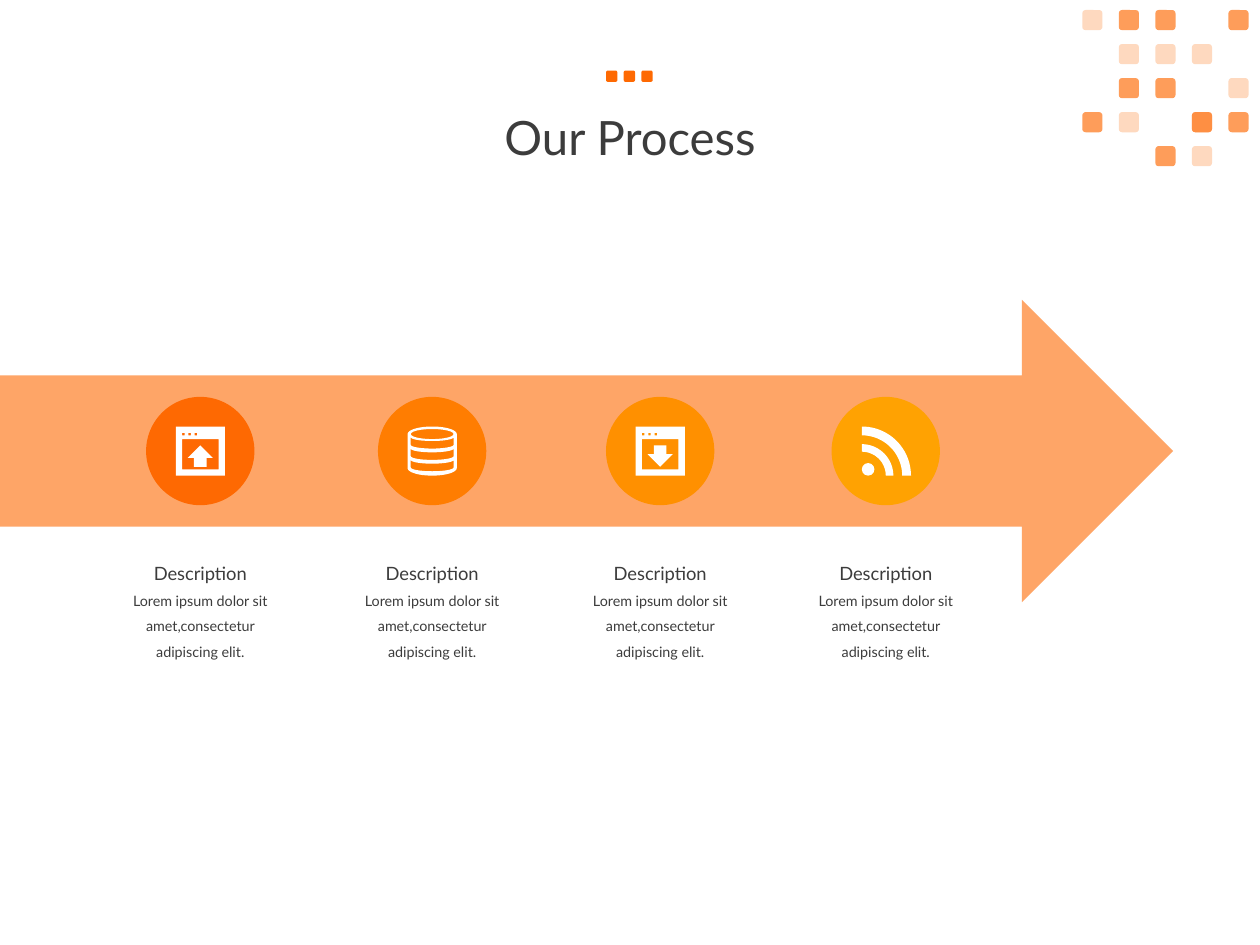
from math import cos, radians, sin

from lxml import etree
from pptx import Presentation
from pptx.dml.color import RGBColor
from pptx.enum.shapes import MSO_SHAPE as Shape
from pptx.enum.text import MSO_ANCHOR as Anchor, MSO_AUTO_SIZE as AutoSize, PP_ALIGN as Align
from pptx.oxml.ns import qn
from pptx.util import Inches, Pt

ORANGE, WHITE, DARK = "FE6902", "FFFFFF", "3C3C3C"
DIAMETER = 0.86
ICON = 0.39


def color(hex_string):
    return RGBColor.from_string(hex_string)


def paint(shape, fill, opacity=100):
    shape.shadow.inherit = False
    shape.fill.solid()
    shape.fill.fore_color.rgb = color(fill)
    shape.line.fill.background()
    if opacity < 100:
        rgb = shape.fill._xPr.find(qn("a:solidFill"))[0]
        etree.SubElement(rgb, qn("a:alpha")).set("val", str(opacity * 1000))


def add_preset(shapes, kind, left, top, width, height, fill, opacity=100):
    shape = shapes.add_shape(kind, Inches(left), Inches(top), Inches(width), Inches(height))
    paint(shape, fill, opacity)


def add_outline(shapes, *contours):
    """Draw closed white contours as one shape; inner contours become holes."""
    contours = [[(Inches(x), Inches(y)) for x, y in points] for points in contours]
    builder = shapes.build_freeform(*contours[0][0])
    for index, points in enumerate(contours):
        if index:
            builder.move_to(*points[0])
        builder.add_line_segments(points[1:], close=True)
    paint(builder.convert_to_shape(), WHITE)


def arc(x, y, radius_x, radius_y, start, end, steps=24):
    """Points on an ellipse, angles in degrees clockwise from the right."""
    angles = [radians(start + (end - start) * i / steps) for i in range(steps + 1)]
    return [(x + radius_x * cos(a), y + radius_y * sin(a)) for a in angles]


def box(left, top, width, height):
    return [(left, top), (left + width, top),
            (left + width, top + height), (left, top + height)]


def write(shape, text, size, spacing=1.0, wrap=True, grow=True, anchor=Anchor.TOP):
    frame = shape.text_frame
    frame.word_wrap = wrap
    frame.auto_size = AutoSize.SHAPE_TO_FIT_TEXT if grow else AutoSize.NONE
    frame.vertical_anchor = anchor
    paragraph = frame.paragraphs[0]
    paragraph.alignment = Align.CENTER
    paragraph.line_spacing = spacing
    run = paragraph.add_run()
    run.text = text
    run.font.name = "Lato"
    run.font.size = Pt(size)
    run.font.color.rgb = color(DARK)


def draw_window(shapes, x, y, upward):
    """Browser window with an upward or downward arrow inside."""
    left, top = x - ICON / 2, y - ICON / 2
    buttons = [box(left + offset, top + 0.05, 0.02, 0.02) for offset in (0.05, 0.1, 0.15)]
    add_outline(shapes, box(left, top, ICON, ICON),
                box(left + 0.05, top + 0.1, 0.29, 0.24), *buttons)
    arrow = [(-0.05, 0.17), (0.05, 0.17), (0.05, 0.1), (0.1, 0.1),
             (0, 0), (-0.1, 0.1), (-0.05, 0.1)]
    add_outline(shapes, [(x + dx, top + 0.15 + (dy if upward else 0.17 - dy))
                         for dx, dy in arrow])


def draw_database(shapes, x, y):
    top, bottom = y - 0.135, y + 0.135
    body = arc(x, top, ICON / 2, 0.06, 180, 360) + arc(x, bottom, ICON / 2, 0.06, 0, 180)
    lid = arc(x, top, 0.17, 0.04, 0, 360)
    bands = [arc(x, y + upper, 0.17, 0.03, 180, 0) + arc(x, y + lower, 0.17, 0.03, 0, 180)
             for upper, lower in ((-0.11, -0.05), (-0.02, 0.04), (0.07, 0.13))]
    add_outline(shapes, body, lid, *bands)


def draw_feed(shapes, x, y):
    left, bottom = x - 0.19, y + ICON / 2
    add_preset(shapes, Shape.OVAL, left, bottom - 0.1, 0.1, 0.1, WHITE)
    for inner, outer in ((0.19, 0.25), (0.32, 0.39)):
        add_outline(shapes, arc(left, bottom, outer, outer, 270, 360)
                    + arc(left, bottom, inner, inner, 360, 270))


presentation = Presentation()
presentation.slide_width, presentation.slide_height = Inches(10), Inches(7.5)
slide = presentation.slides.add_slide(presentation.slide_layouts[5])

title = slide.shapes.title
title.left, title.top = Inches(0.69), Inches(0.39)
title.width, title.height = Inches(8.62), Inches(1.45)
write(title, "Our Process", size=27, spacing=0.9, grow=False, anchor=Anchor.MIDDLE)

# Corner mosaic: each cell lists the opacities stacked there
opacities = {".": (), "L": (25,), "D": (65,), "B": (65, 25)}
mosaic = slide.shapes.add_group_shape().shapes
for row, cells in enumerate(("LDD.D", ".LLL.", ".DD.L", "DL.BD", "..DL.")):
    for column, cell in enumerate(cells):
        for opacity in opacities[cell]:
            add_preset(mosaic, Shape.ROUNDED_RECTANGLE, 8.59 + 0.29 * column,
                       0.08 + 0.27 * row, 0.16, 0.16, ORANGE, opacity)

dots = slide.shapes.add_group_shape().shapes
for column in range(3):
    add_preset(dots, Shape.ROUNDED_RECTANGLE, 4.81 + 0.14 * column, 0.56, 0.09, 0.09, ORANGE)

add_preset(slide.shapes, Shape.NOTCHED_RIGHT_ARROW, -0.61, 2.38, 9.92, 2.4, "FEA567")

steps = [
    (1.16, ORANGE, draw_window, {"upward": True}),
    (3.0, "FF7D01", draw_database, {}),
    (4.81, "FF9000", draw_window, {"upward": False}),
    (6.6, "FFA202", draw_feed, {}),
]
for left, fill, draw_icon, options in steps:
    center = left + DIAMETER / 2
    add_preset(slide.shapes, Shape.OVAL, left, 3.15, DIAMETER, DIAMETER, fill)
    icon = slide.shapes.add_group_shape().shapes
    draw_icon(icon, center, 3.15 + DIAMETER / 2, **options)

    heading = slide.shapes.add_textbox(Inches(center - 0.495), Inches(4.41),
                                       Inches(0.99), Inches(0.28))
    write(heading, "Description", size=10.5, wrap=False)
    detail = slide.shapes.add_textbox(Inches(center - 0.745), Inches(4.58),
                                      Inches(1.49), Inches(0.7))
    write(detail, "Lorem ipsum dolor sit amet,consectetur adipiscing elit.",
          size=8.2, spacing=1.5)

presentation.save("out.pptx")
